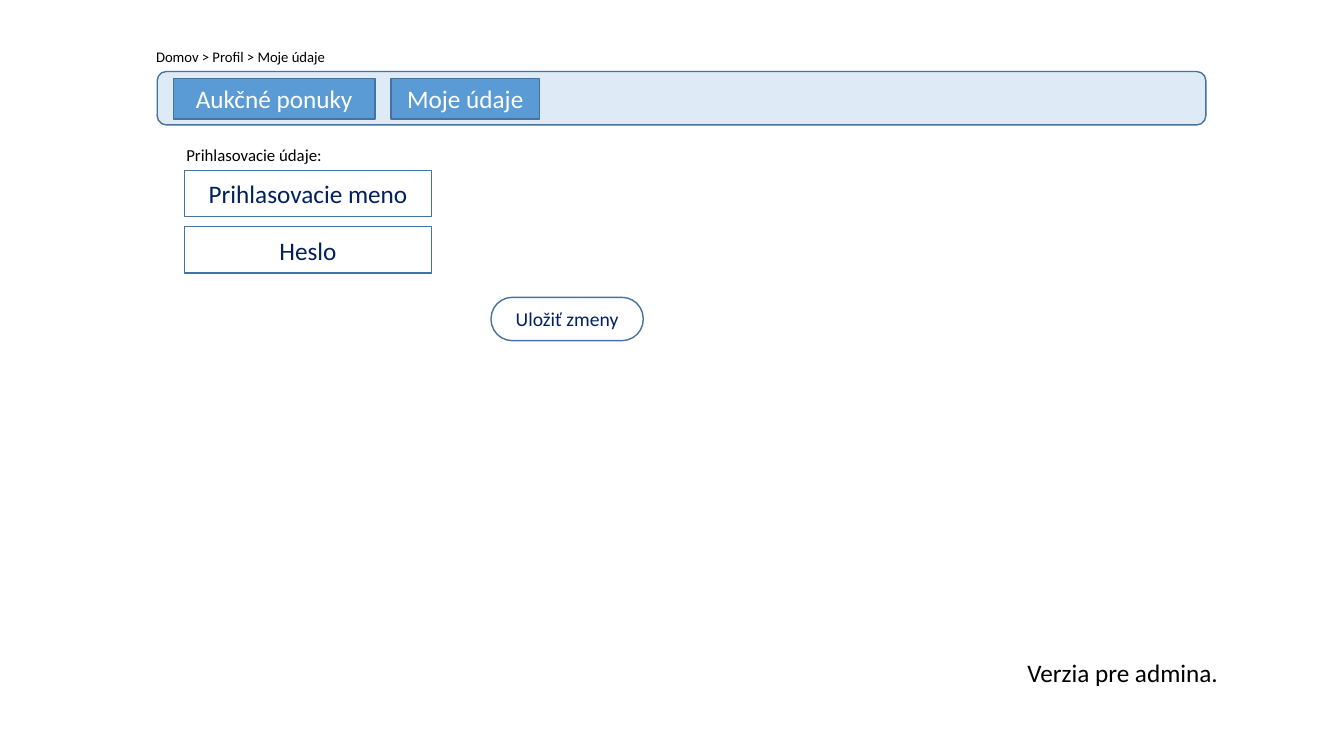
from dataclasses import dataclass

from pptx import Presentation
from pptx.dml.color import RGBColor
from pptx.enum import shapes, text
from pptx.util import Inches, Pt


@dataclass(frozen=True)
class Theme:
    font: str = "Calibri"
    outline: str = "43739E"
    white: str = "FFFFFF"
    black: str = "000000"
    navy: str = "002060"
    tab: str = "5B9BD5"
    bar: str = "DEEBF7"
    large: float = 18
    button: float = 14
    label: float = 12
    breadcrumb: float = 10.5


class Wireframe:
    def __init__(self, slide, theme):
        self.s = slide
        self.theme = theme

    def set_text(self, tf, content, size, color):
        tf.text = content
        p = tf.paragraphs[0]
        for r in p.runs:
            r.font.name = self.theme.font
            r.font.size = Pt(size)
            r.font.color.rgb = RGBColor.from_string(color)
        return p

    def box(self, x, y, w, h, fill, content="", size=None, color=None, radius=None):
        """Outlined box; a radius, as a share of the short side, rounds it."""
        kind = shapes.MSO_SHAPE.ROUNDED_RECTANGLE if radius else shapes.MSO_SHAPE.RECTANGLE
        sp = self.s.shapes.add_shape(kind, Inches(x), Inches(y), Inches(w), Inches(h))
        if radius:
            sp.adjustments[0] = radius
        sp.shadow.inherit = False
        sp.fill.solid()
        sp.fill.fore_color.rgb = RGBColor.from_string(fill)
        sp.line.color.rgb = RGBColor.from_string(self.theme.outline)
        sp.line.width = Pt(1)
        if content:
            tf = sp.text_frame
            tf.vertical_anchor = text.MSO_ANCHOR.MIDDLE
            p = self.set_text(tf, content, size, color)
            p.alignment = text.PP_ALIGN.CENTER

    def label(self, x, y, w, h, content, size, wrap=False):
        sp = self.s.shapes.add_textbox(Inches(x), Inches(y), Inches(w), Inches(h))
        tf = sp.text_frame
        tf.word_wrap = wrap
        tf.auto_size = text.MSO_AUTO_SIZE.SHAPE_TO_FIT_TEXT
        self.set_text(tf, content, size, self.theme.black)


def main():
    prs = Presentation()
    prs.slide_width, prs.slide_height = Inches(13.33), Inches(7.5)
    t = Theme()
    page = Wireframe(prs.slides.add_slide(prs.slide_layouts[6]), t)

    page.label(1.45, 0.43, 6.14, 0.28, "Domov > Profil > Moje údaje", t.breadcrumb, wrap=True)
    page.box(1.56, 0.71, 10.4, 0.53, t.bar, radius=0.17)
    for x, w, name in [(1.72, 2, "Aukčné ponuky"), (3.88, 1.47, "Moje údaje")]:
        page.box(x, 0.78, w, 0.4, t.tab, name, t.large, t.white)

    page.label(1.75, 1.39, 1.56, 0.3, "Prihlasovacie údaje:", t.label)
    for row, field in enumerate(["Prihlasovacie meno", "Heslo"]):
        page.box(1.83, 1.69 + row * 0.56, 2.45, 0.46, t.white, field, t.large, t.navy)
    page.box(4.87, 2.95, 1.51, 0.43, t.white, "Uložiť zmeny", t.button, t.navy, radius=0.49)

    page.label(10.09, 6.47, 2.12, 0.4, "Verzia pre admina.", t.large)
    prs.save("out.pptx")


if __name__ == "__main__":
    main()
